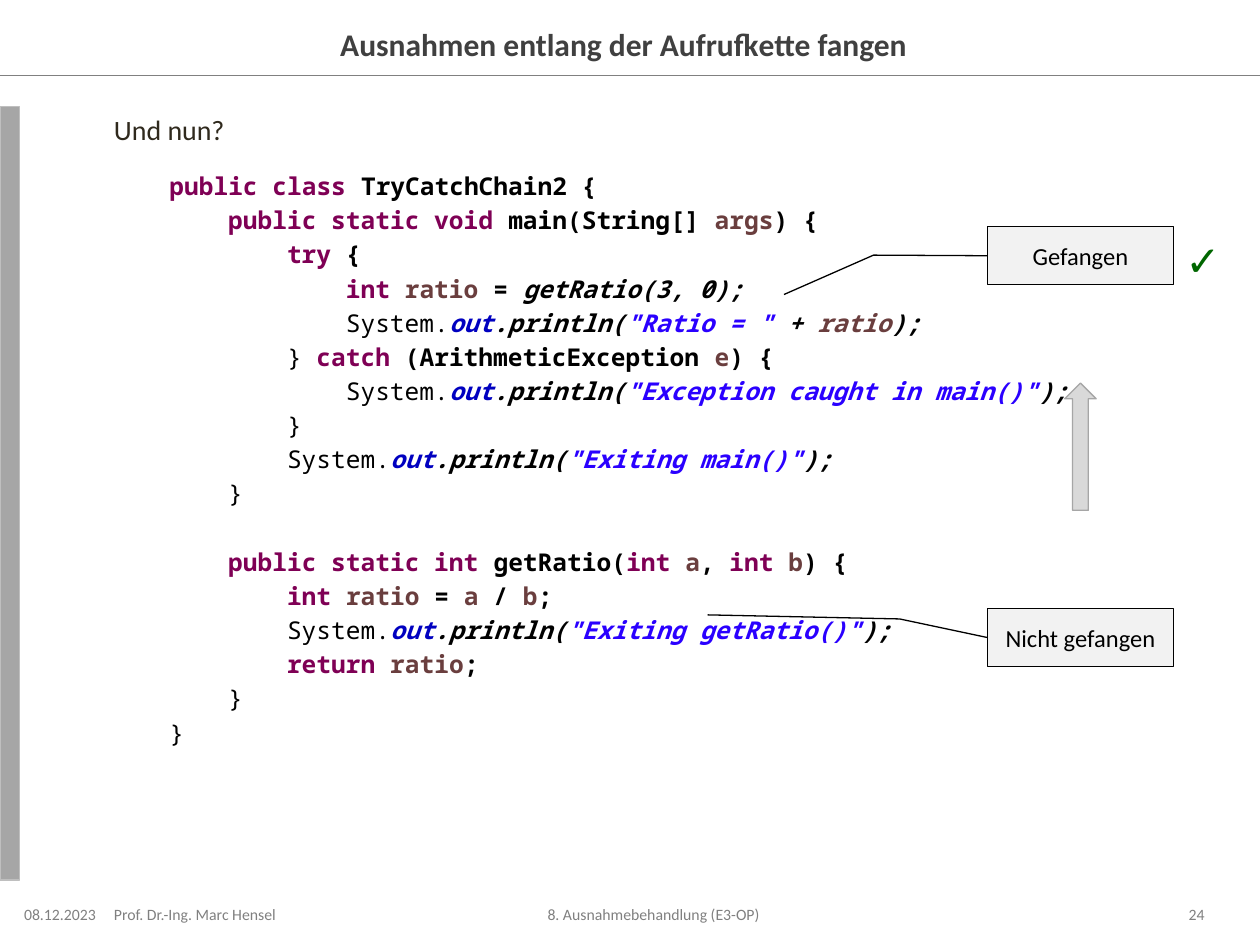
import lxml.etree
import pptx
import pptx.dml.color
import pptx.enum.shapes
import pptx.enum.text
import pptx.oxml.ns
import pptx.util

SHAPE = pptx.enum.shapes.MSO_SHAPE
ALIGN = pptx.enum.text.PP_ALIGN
ANCHOR = pptx.enum.text.MSO_ANCHOR

COLORS = {
    "black": "000000", "title": "404040", "body": "2F291D", "footer": "808080",
    "bar": "A6A6A6", "bar edge": "BFBFBF", "callout": "F2F2F2", "arrow": "D9D9D9",
    "check": "006600", "keyword": "7F0055", "variable": "6A3E3E",
    "field": "0000C0", "string": "2A00FF",
}

# Code styles: color, bold, italic
CODE_STYLES = {
    "plain": ("black", False, False),
    "bold": ("black", True, False),
    "call": ("black", True, True),
    "keyword": ("keyword", True, False),
    "variable": ("variable", True, False),
    "argument": ("variable", True, True),
    "field": ("field", True, True),
    "string": ("string", True, True),
}


def println(*argument):
    return [("plain", "System."), ("field", "out"), ("call", ".println("),
            *argument, ("call", ");")]


# Each line: depth of indent, list of (style, text)
MAIN_METHOD = [
    (0, [("keyword", "public class"), ("bold", " TryCatchChain2 {")]),
    (1, [("keyword", "public static void"), ("bold", " main(String[] "),
         ("variable", "args"), ("bold", ") {")]),
    (2, [("keyword", "try"), ("bold", " {")]),
    (3, [("keyword", "int "), ("variable", "ratio"), ("bold", " = "),
         ("call", "getRatio(3, 0);")]),
    (3, println(("string", '"Ratio = "'), ("call", " + "), ("argument", "ratio"))),
    (2, [("plain", "} "), ("keyword", "catch"), ("bold", " (ArithmeticException "),
         ("variable", "e"), ("bold", ") {")]),
    (3, println(("string", '"Exception caught in main()"'))),
    (2, [("plain", "}")]),
    (2, println(("string", '"Exiting main()"'))),
    (1, [("plain", "}")]),
]
RATIO_METHOD = [
    (1, [("keyword", "public static int "), ("bold", "getRatio("),
         ("keyword", "int "), ("variable", "a"), ("bold", ", "),
         ("keyword", "int "), ("variable", "b"), ("bold", ") {")]),
    (2, [("keyword", "int "), ("variable", "ratio"), ("bold", " = "),
         ("variable", "a"), ("bold", " / "), ("variable", "b"), ("bold", ";")]),
    (2, println(("string", '"Exiting getRatio()"'))),
    (2, [("keyword", "return "), ("variable", "ratio"), ("bold", ";")]),
    (1, [("plain", "}")]),
    (0, [("plain", "}")]),
]


class SlideBuilder:
    """Places elements on a grid of 100 columns by 75 rows."""
    font = "Calibri"
    code_font = "Noto Sans Mono"
    code_size = 14
    code_left = 0.44 * 72
    code_step = 4 * 0.6 * code_size  # four monospaced characters
    code_gap = 2.7
    line_width = 0.75

    def __init__(self, deck):
        self.page = deck.slides.add_slide(deck.slide_layouts[6])
        self.column = deck.slide_width / 100
        self.row = deck.slide_height / 75

    def place(self, left, top, width, height):
        return (round(left * self.column), round(top * self.row),
                round(width * self.column), round(height * self.row))

    def color(self, name):
        return pptx.dml.color.RGBColor.from_string(COLORS[name])

    def style(self, font, color, size=None, name=None, bold=False, italic=False):
        font.color.rgb = self.color(color)
        font.bold, font.italic = bold, italic
        if size:
            font.size = pptx.util.Pt(size)
            font.name = name or self.font

    def outline(self, line, color):
        line.color.rgb = self.color(color)
        line.width = pptx.util.Pt(self.line_width)

    def rule(self, top, color):
        left, y, width, _ = self.place(0, top, 100, 0)
        line = self.page.shapes.add_connector(
            pptx.enum.shapes.MSO_CONNECTOR.STRAIGHT, left, y, left + width, y)
        self.outline(line.line, color)
        properties = line._element.find(pptx.oxml.ns.qn("p:spPr"))
        lxml.etree.SubElement(properties, pptx.oxml.ns.qn("a:effectLst"))

    def shape(self, kind, area, fill, edge):
        shape = self.page.shapes.add_shape(kind, *self.place(*area))
        shape.shadow.inherit = False
        shape.fill.solid()
        shape.fill.fore_color.rgb = self.color(fill)
        self.outline(shape.line, edge)
        return shape

    def callout(self, area, text, adjustments):
        shape = self.shape(SHAPE.LINE_CALLOUT_2, area, "callout", "black")
        for index, value in enumerate(adjustments):
            shape.adjustments[index] = value
        shape.text_frame.vertical_anchor = ANCHOR.MIDDLE
        para = shape.text_frame.paragraphs[0]
        para.text, para.alignment = text, ALIGN.CENTER
        self.style(para.font, "black", 14)

    def text(self, area, text, size, color, align=ALIGN.LEFT, anchor=ANCHOR.MIDDLE,
             insets=(0, 0.1), wrap=True, name=None, bold=False):
        frame = self.page.shapes.add_textbox(*self.place(*area)).text_frame
        frame.word_wrap, frame.vertical_anchor = wrap, anchor
        frame.margin_left, frame.margin_right = map(pptx.util.Inches, insets)
        para = frame.paragraphs[0]
        para.text, para.alignment = text, align
        self.style(para.font, color, size, name, bold)
        return frame

    def code(self, frame, lines, gap):
        """Appends code lines, with a gap in points above the first."""
        for number, (depth, spans) in enumerate(lines):
            para = frame.add_paragraph()
            para.space_before = pptx.util.Pt(self.code_gap if number else gap)
            indent = pptx.util.Pt(self.code_left + depth * self.code_step)
            para._p.get_or_add_pPr().set("marL", str(int(indent)))
            para.font.size = pptx.util.Pt(self.code_size)
            para.font.name = self.code_font
            for style, words in spans:
                span = para.add_run()
                span.text = words
                color, bold, italic = CODE_STYLES[style]
                self.style(span.font, color, self.code_size, self.code_font, bold, italic)


def main():
    deck = pptx.Presentation()
    deck.slide_width = pptx.util.Inches(10)
    deck.slide_height = pptx.util.Inches(7.5)
    slide = SlideBuilder(deck)

    # Frame and title
    slide.rule(6, "footer")
    slide.shape(SHAPE.RECTANGLE, (0, 8.45, 1.54, 61.4), "bar", "bar edge")
    slide.text((12.4, 1.5, 75.2, 3.9), "Ausnahmen entlang der Aufrufkette fangen",
               18, "title", ALIGN.CENTER, bold=True)

    # Question and code
    body = slide.text((9.05, 8.45, 86.6, 61.4), "Und nun?", 16, "body", anchor=ANCHOR.TOP)
    slide.code(body, MAIN_METHOD, gap=14.3)
    slide.code(body, RATIO_METHOD, gap=22.4)

    # Callouts, arrow and check mark
    slide.callout((78.35, 48.3, 14.8, 4.6), "Nicht gefangen",
                  (0.5, 0, 0.18, -0.47, 0.11, -1.5))
    slide.shape(SHAPE.UP_ARROW, (84.5, 30.4, 2.5, 10.1), "arrow", "bar")
    slide.callout((78.35, 18, 14.8, 4.6), "Gefangen",
                  (0.5, 0, 0.49, -0.61, 1.17, -1.09))
    slide.text((93.1, 18.1, 4.7, 5), "✓", 24, "check", ALIGN.CENTER, ANCHOR.TOP,
               insets=(0.1, 0.1), wrap=False, name="Lato", bold=True)

    # Footer
    for left, width, text, align, insets in (
        (1.5, 7.5, "08.12.2023", ALIGN.CENTER, (0, 0.1)),
        (9.05, 15, "Prof. Dr.-Ing. Marc Hensel", ALIGN.LEFT, (0, 0.1)),
        (24.8, 55.1, "8. Ausnahmebehandlung (E3-OP)", ALIGN.CENTER, (0, 0.1)),
        (89.2, 6.4, "24", ALIGN.RIGHT, (0.1, 0)),
    ):
        slide.text((left, 71.8, width, 1.5), text, 9, "footer", align, insets=insets)

    deck.save("out.pptx")


if __name__ == "__main__":
    main()
